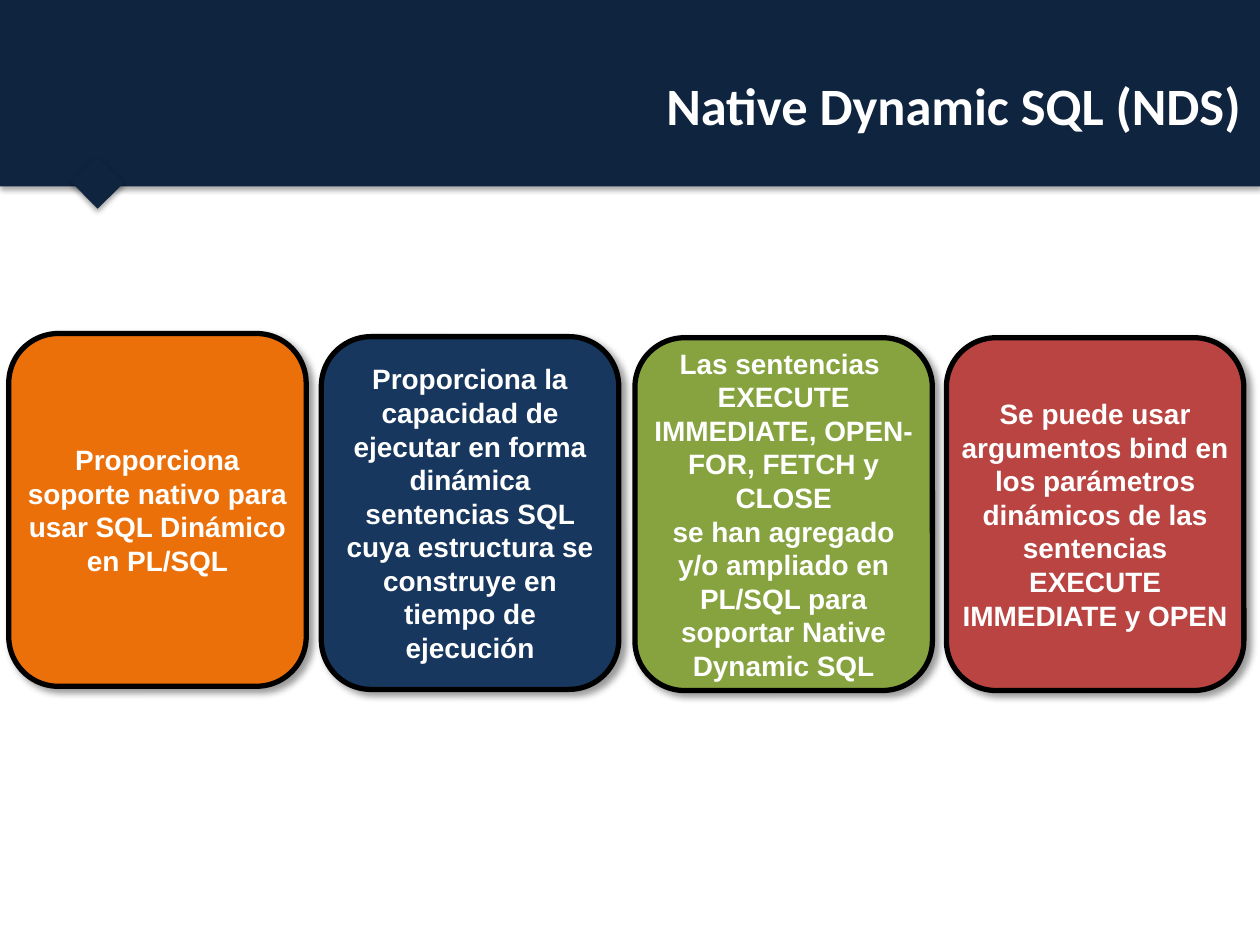
from dataclasses import dataclass

from lxml.etree import SubElement
from pptx import Presentation
from pptx.dml.color import RGBColor
from pptx.enum.shapes import MSO_SHAPE as Preset
from pptx.enum.text import MSO_ANCHOR as Anchor, PP_ALIGN as Align
from pptx.oxml.ns import qn
from pptx.shapes.autoshape import Shape
from pptx.slide import Slide
from pptx.util import Pt

NAVY = RGBColor(0x0F, 0x24, 0x3E)
BLUE = RGBColor(0x17, 0x37, 0x5E)
GREEN = RGBColor(0x86, 0xA3, 0x3F)
RED = RGBColor(0xB9, 0x44, 0x41)
ORANGE = RGBColor(0xEC, 0x70, 0x0A)
WHITE = RGBColor(0xFF, 0xFF, 0xFF)
BLACK = RGBColor(0, 0, 0)

CARD_WIDTH, CARD_HEIGHT = 170, 201.6


@dataclass(frozen=True)
class Shadow:
    opacity: int
    blur: float
    distance: float
    angle: int


@dataclass(frozen=True)
class Card:
    left: float
    top: float
    color: RGBColor
    paragraphs: tuple[str, ...]


HEADER_SHADOW = Shadow(opacity=35, blur=3.1, distance=1.8, angle=90)
CARD_SHADOW = Shadow(opacity=40, blur=4, distance=3, angle=45)

CARDS = (
    Card(5, 190.6, ORANGE,
         ("Proporciona soporte nativo para usar SQL Dinámico en PL/SQL",)),
    Card(183.6, 192.4, BLUE,
         ("Proporciona la capacidad de ejecutar en forma dinámica sentencias SQL "
          "cuya estructura se construye en tiempo de ejecución",)),
    Card(362.8, 193, GREEN,
         ("Las sentencias ",
          "EXECUTE IMMEDIATE, OPEN-FOR, FETCH y CLOSE",
          "se han agregado y/o ampliado en PL/SQL para soportar Native Dynamic SQL")),
    Card(540.8, 193, RED,
         ("Se puede usar argumentos bind en los parámetros dinámicos de las "
          "sentencias EXECUTE IMMEDIATE y OPEN",)),
)


def add_shadow(shape: Shape, shadow: Shadow) -> None:
    shape.shadow.inherit = False
    effects = shape._element.spPr.find(qn("a:effectLst"))
    outer = SubElement(effects, qn("a:outerShdw"), {
        "blurRad": str(Pt(shadow.blur)),
        "dist": str(Pt(shadow.distance)),
        "dir": str(shadow.angle * 60000),
        "algn": "ctr",
        "rotWithShape": "0",
    })
    color = SubElement(outer, qn("a:srgbClr"), val=str(BLACK))
    SubElement(color, qn("a:alpha"), val=str(shadow.opacity * 1000))


def add_block(slide: Slide, preset: Preset, left: float, top: float, width: float,
              height: float, color: RGBColor, shadow: Shadow) -> Shape:
    shape = slide.shapes.add_shape(preset, Pt(left), Pt(top), Pt(width), Pt(height))
    shape.fill.solid()
    shape.fill.fore_color.rgb = color
    shape.line.fill.background()
    add_shadow(shape, shadow)
    return shape


def write_text(shape: Shape, *paragraphs: str, font: str, size: float,
               align: Align, inset_x: float = 0, inset_y: float = 0) -> None:
    frame = shape.text_frame
    frame.word_wrap = True
    frame.vertical_anchor = Anchor.MIDDLE
    frame.margin_left = frame.margin_right = Pt(inset_x)
    frame.margin_top = frame.margin_bottom = Pt(inset_y)
    for index, text in enumerate(paragraphs):
        paragraph = frame.add_paragraph() if index else frame.paragraphs[0]
        paragraph.alignment = align
        run = paragraph.add_run()
        run.text = text
        run.font.name = font
        run.font.size = Pt(size)
        run.font.bold = True
        run.font.color.rgb = WHITE


def add_header(slide: Slide, title: str) -> None:
    add_block(slide, Preset.RECTANGLE, 0, 0, 720, 106.5, NAVY, HEADER_SHADOW)
    pointer = add_block(slide, Preset.RECTANGLE, 44.9, 93.8, 21.6, 21, NAVY, HEADER_SHADOW)
    pointer.rotation = 45.6
    title_box = slide.shapes.add_textbox(Pt(25.2), Pt(15.1), Pt(691.2), Pt(89.3))
    write_text(title_box, title, font="Calibri", size=30, align=Align.RIGHT,
               inset_x=7.2, inset_y=3.6)


def add_card(slide: Slide, card: Card) -> None:
    shape = add_block(slide, Preset.ROUNDED_RECTANGLE, card.left, card.top,
                      CARD_WIDTH, CARD_HEIGHT, card.color, CARD_SHADOW)
    shape.adjustments[0] = 0.167
    shape.line.color.rgb = BLACK
    shape.line.width = Pt(3)
    write_text(shape, *card.paragraphs, font="Arial", size=16, align=Align.CENTER)


def main() -> None:
    presentation = Presentation()
    presentation.slide_width, presentation.slide_height = Pt(720), Pt(540)
    slide = presentation.slides.add_slide(presentation.slide_layouts[6])
    add_header(slide, "Native Dynamic SQL (NDS)")
    for card in CARDS:
        add_card(slide, card)
    presentation.save("out.pptx")


if __name__ == "__main__":
    main()
